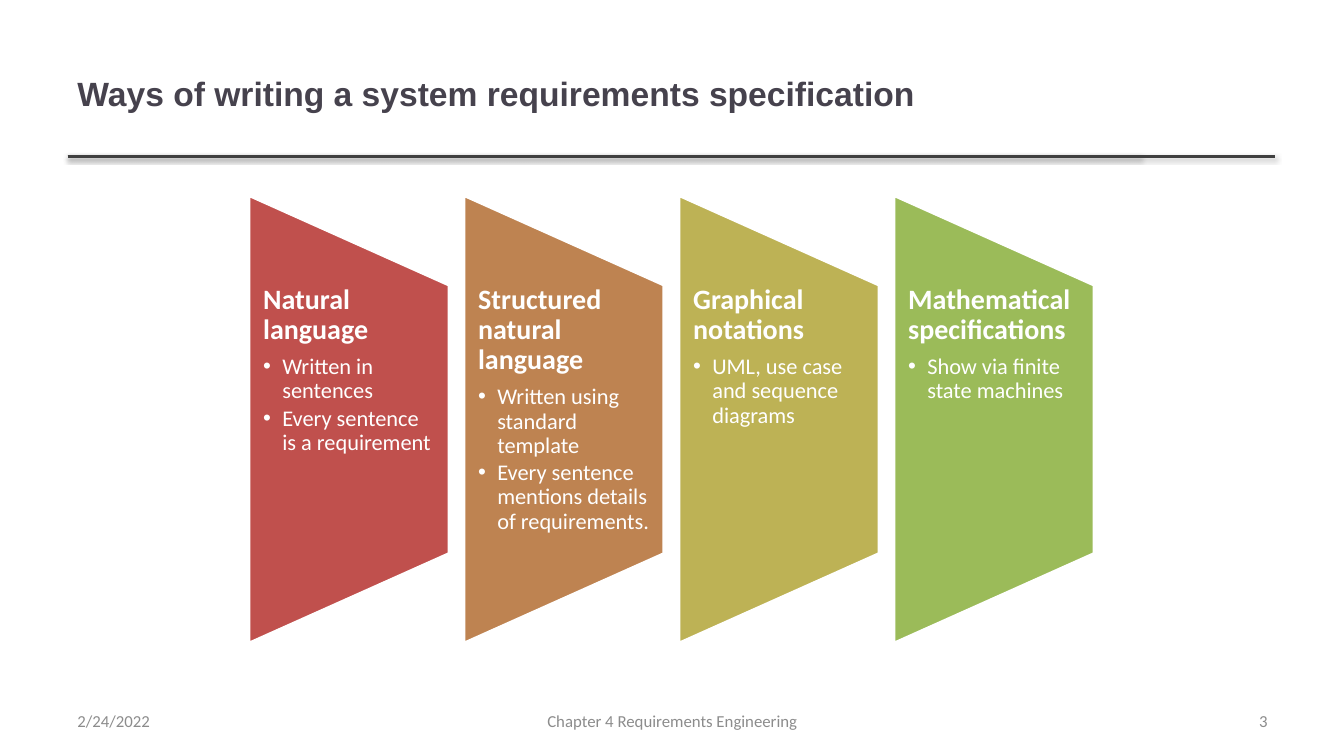
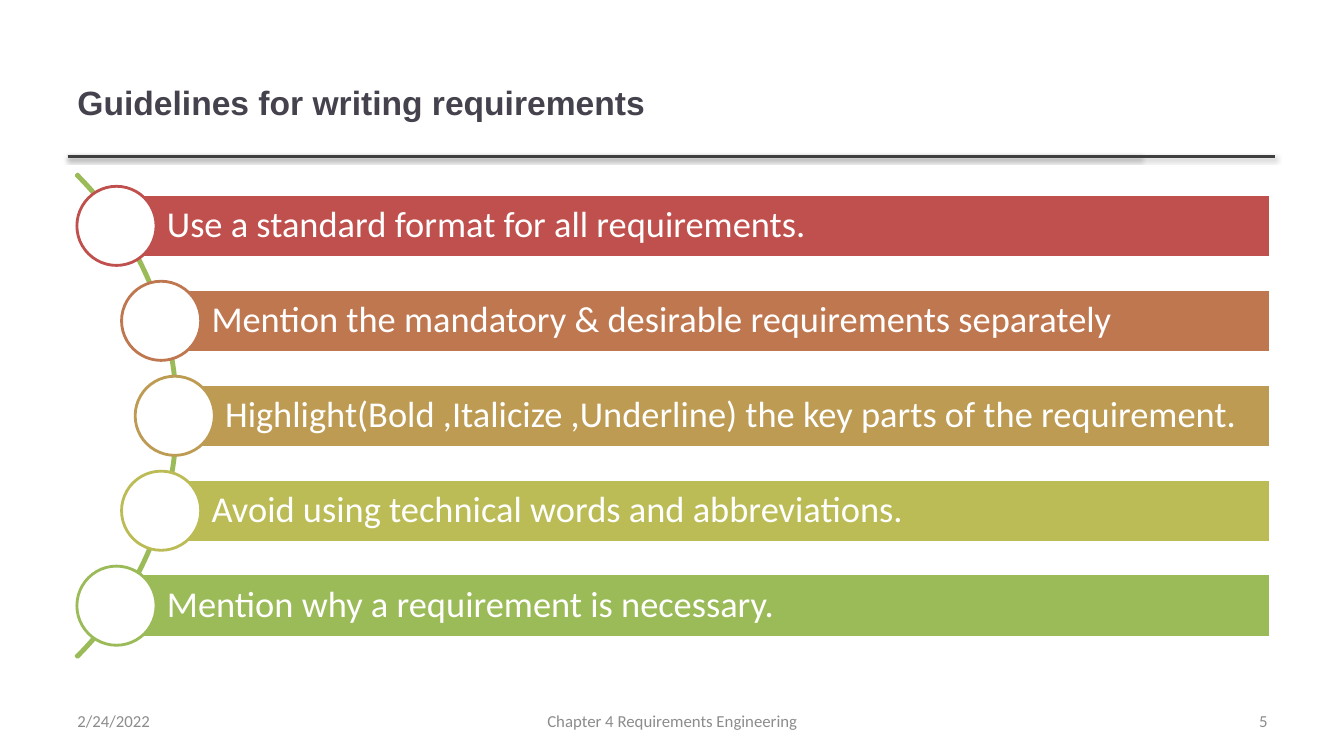
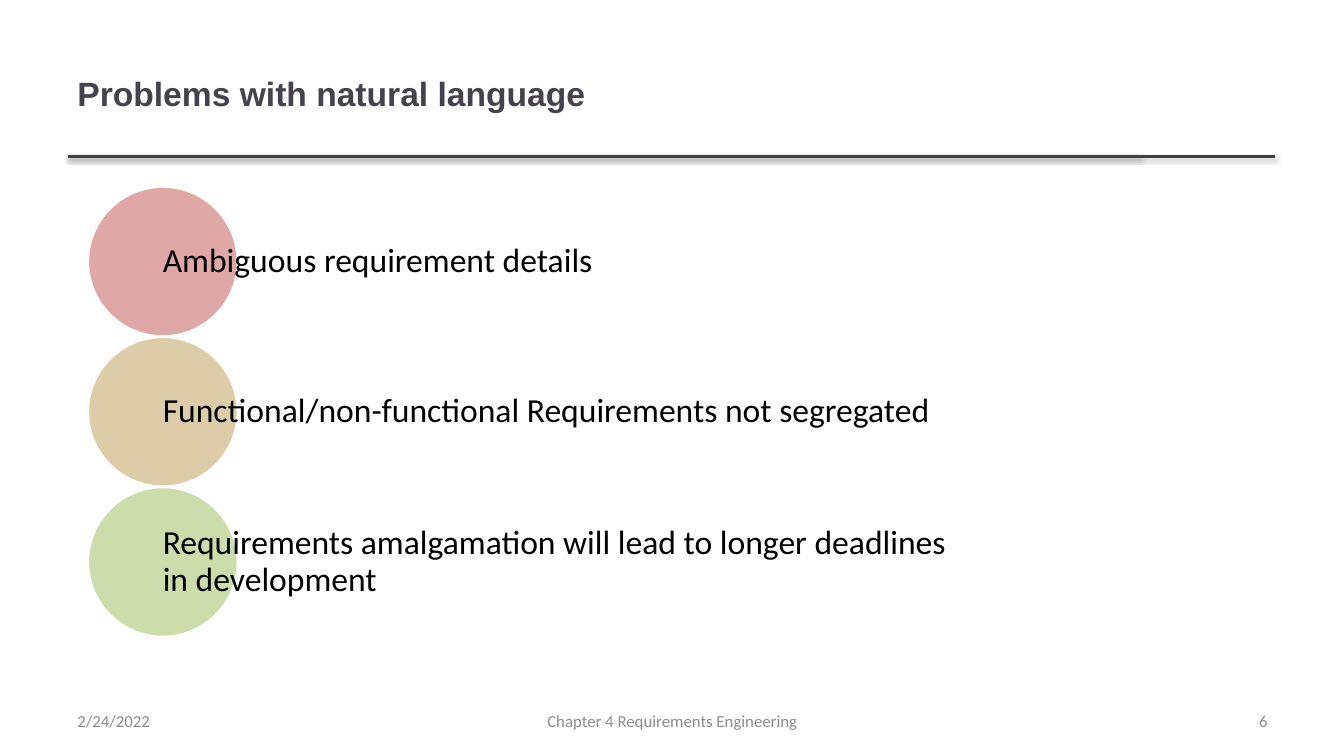
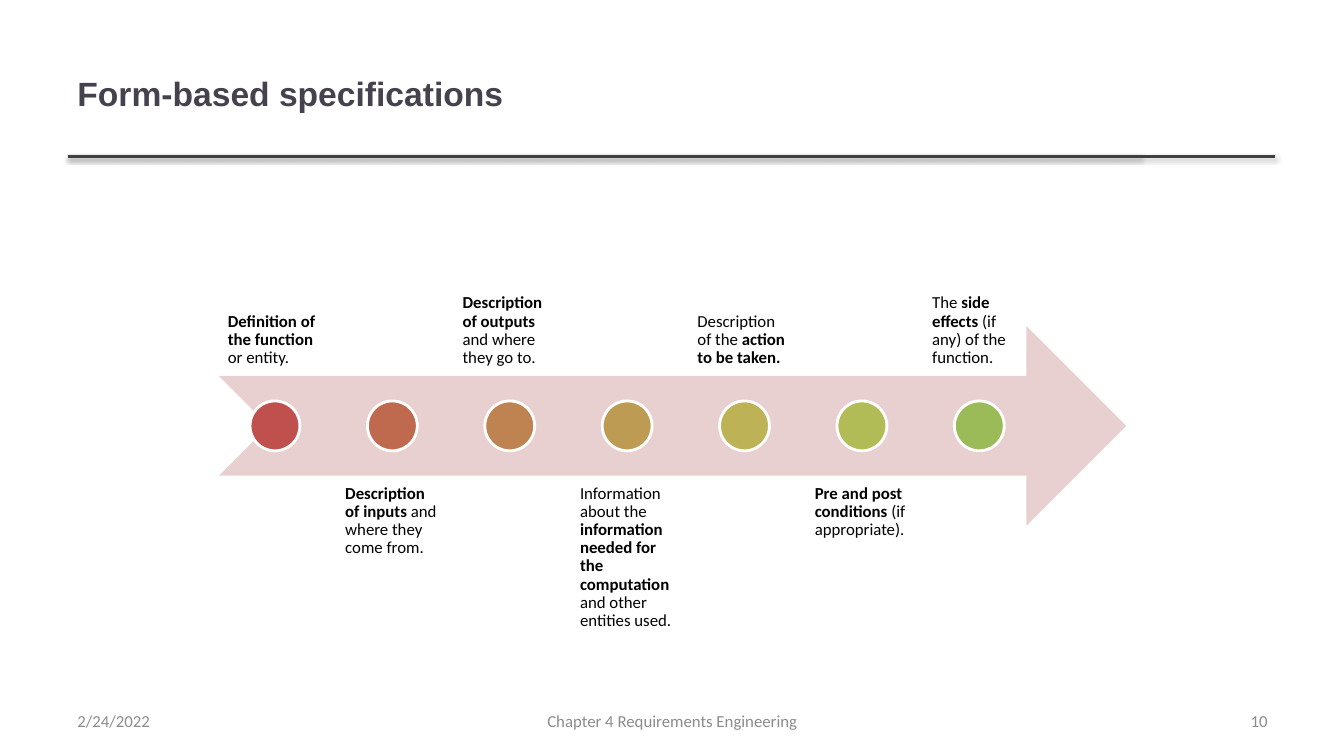
import math
from dataclasses import dataclass

from lxml import etree
from pptx import Presentation
from pptx.dml.color import RGBColor
from pptx.enum.shapes import MSO_CONNECTOR, MSO_SHAPE
from pptx.enum.text import MSO_ANCHOR, PP_ALIGN
from pptx.oxml.ns import qn
from pptx.util import Emu, Inches, Pt

LEFT, CENTER, RIGHT = PP_ALIGN.LEFT, PP_ALIGN.CENTER, PP_ALIGN.RIGHT
TOP, MIDDLE, BOTTOM = MSO_ANCHOR.TOP, MSO_ANCHOR.MIDDLE, MSO_ANCHOR.BOTTOM
RECTANGLE, OVAL, BLOCK_ARC = MSO_SHAPE.RECTANGLE, MSO_SHAPE.OVAL, MSO_SHAPE.BLOCK_ARC
TRAPEZOID = MSO_SHAPE.FLOWCHART_MANUAL_OPERATION
NOTCHED_ARROW = MSO_SHAPE.NOTCHED_RIGHT_ARROW
STRAIGHT = MSO_CONNECTOR.STRAIGHT


@dataclass(frozen=True)
class Theme:
    heading_font: str = "Arial"
    body_font: str = "Calibri"
    white: str = "FFFFFF"
    black: str = "000000"
    heading: str = "46424D"
    rule: str = "404040"
    footer: str = "8C8C8C"
    arrow: str = "E8D0D0"
    ramp3: tuple = ("C0504D", "BD9B53", "9BBB59")
    ramp4: tuple = ("C0504D", "BE8351", "BDB255", "9BBB59")
    ramp5: tuple = ("C0504D", "BF7750", "BD9B53", "BCBC56", "9BBB59")
    ramp7: tuple = ("C0504D", "BF6A4F", "BE8351", "BD9B53", "BDB255", "B1BC57", "9BBB59")
    heading_size: int = 24
    footer_size: int = 12
    panel_head_size: int = 20
    panel_size: int = 16
    bar_size: int = 26
    problem_size: int = 24
    step_size: int = 12
    line_width: int = 2


@dataclass(frozen=True)
class Box:
    """A rectangle in inches."""
    left: float
    top: float
    width: float
    height: float

    @property
    def middle(self):
        return self.left + self.width / 2, self.top + self.height / 2

    def emu(self):
        return [Inches(n) for n in (self.left, self.top, self.width, self.height)]

    def rows(self, count):
        step = self.height / count
        return [Box(self.left, self.top + i * step, self.width, step) for i in range(count)]

    def columns(self, count, gap=0.0):
        width = (self.width - gap * (count - 1)) / count
        return [Box(self.left + i * (width + gap), self.top, width, self.height)
                for i in range(count)]


def centred(x, y, width, height):
    return Box(x - width / 2, y - height / 2, width, height)


THEME = Theme()
SLIDE = Box(0, 0, 13.33, 7.5)
MARGIN = 0.67
TITLE = Box(MARGIN, 0.3, 10.63, 1.25)
RULE_Y = 1.55
RULE_ENDS = (11.32, 12.65)
FOOTER_TOP, FOOTER_HEIGHT = 6.95, 0.4
DEFAULT_INSETS = (0.1, 0.05, 0.1, 0.05)


def add_shape(page, kind, box, fill=None, line=None, alpha=None):
    shape = page.shapes.add_shape(kind, *box.emu())
    shape.shadow.inherit = False
    if fill:
        shape.fill.solid()
        shape.fill.fore_color.rgb = RGBColor.from_string(fill)
        if alpha:
            color = shape.fill._xPr.find(".//" + qn("a:srgbClr"))
            etree.SubElement(color, qn("a:alpha"), val=str(alpha * 1000))
    else:
        shape.fill.background()
    if line:
        shape.line.color.rgb = RGBColor.from_string(line)
        shape.line.width = Pt(THEME.line_width)
    else:
        shape.line.fill.background()
    return shape


def set_frame(shape, insets=DEFAULT_INSETS, anchor=MIDDLE):
    frame = shape.text_frame
    frame.word_wrap = True
    frame.vertical_anchor = anchor
    (frame.margin_left, frame.margin_top,
     frame.margin_right, frame.margin_bottom) = [Inches(n) for n in insets]
    return frame


def add_frame(page, box, insets=DEFAULT_INSETS, anchor=MIDDLE):
    return set_frame(page.shapes.add_textbox(*box.emu()), insets, anchor)


def write(para, spans, size, color, font=THEME.body_font, align=LEFT, spacing=0.9):
    """Fill a paragraph from (text, bold) spans."""
    para.alignment = align
    para.line_spacing = spacing
    for text, bold in spans:
        span = para.add_run()
        span.text = text
        span.font.name = font
        span.font.size = Pt(size)
        span.font.bold = bold
        span.font.color.rgb = RGBColor.from_string(color)


def add_bullet(para, indent):
    properties = para._p.get_or_add_pPr()
    properties.set("marL", str(Inches(indent)))
    properties.set("indent", str(-Inches(indent)))
    etree.SubElement(properties, qn("a:buFont"), typeface=THEME.heading_font)
    etree.SubElement(properties, qn("a:buChar"), char="•")


def add_rule(page, end):
    """Draw the shadowed line under the title."""
    rule = page.shapes.add_connector(
        STRAIGHT, Inches(MARGIN), Inches(RULE_Y), Inches(end), Inches(RULE_Y))
    rule.line.color.rgb = RGBColor.from_string(THEME.rule)
    rule.line.width = Pt(THEME.line_width)
    effects = etree.SubElement(rule._element.spPr, qn("a:effectLst"))
    shadow = etree.SubElement(effects, qn("a:outerShdw"), blurRad=str(Pt(3.1)),
                              dist=str(Pt(1.6)), dir="5400000", rotWithShape="0")
    color = etree.SubElement(shadow, qn("a:srgbClr"), val=THEME.black)
    etree.SubElement(color, qn("a:alpha"), val="38000")


def add_page(deck, title, number, title_box=TITLE):
    """Add a slide with its title, rule and footer."""
    page = deck.slides.add_slide(deck.slide_layouts[6])
    for end in RULE_ENDS:
        add_rule(page, end)
    heading = add_frame(page, title_box)
    write(heading.paragraphs[0], [(title, True)], THEME.heading_size,
          THEME.heading, THEME.heading_font, spacing=1)
    footers = (
        (MARGIN, 3.11, "2/24/2022", LEFT),
        (4.56, 4.22, "Chapter 4 Requirements Engineering", CENTER),
        (9.56, 3.11, str(number), RIGHT),
    )
    for left, width, text, align in footers:
        frame = add_frame(page, Box(left, FOOTER_TOP, width, FOOTER_HEIGHT))
        write(frame.paragraphs[0], [(text, False)], THEME.footer_size,
              THEME.footer, align=align, spacing=1)
    return page


def add_panels(page, box, panels):
    """Place tapering panels side by side, each with a heading and bullets."""
    columns = box.columns(len(panels), gap=0.15)
    for column, color, (head, points) in zip(columns, THEME.ramp4, panels):
        upright = centred(*column.middle, column.height, column.width)
        add_shape(page, TRAPEZOID, upright, color, THEME.white).rotation = 270
        inner = Box(column.left, column.top + column.height / 5,
                    column.width, column.height * 3 / 5)
        frame = add_frame(page, inner, (0.14, 0, 0.14, 0), TOP)
        para = frame.paragraphs[0]
        write(para, [(head, True)], THEME.panel_head_size, THEME.white)
        para.space_after = Pt(THEME.panel_head_size * 0.35)
        for point in points:
            para = frame.add_paragraph()
            para.level = 1
            add_bullet(para, 0.19)
            write(para, [(point, False)], THEME.panel_size, THEME.white)
            para.space_after = Pt(THEME.panel_size * 0.15)


def add_curved_list(page, box, items):
    """Place bars whose round markers follow an arc."""
    rows = box.rows(len(items))
    row_height = rows[0].height
    radius = row_height * 3.6
    marker_radius = radius - 0.03
    arc_x = box.left - radius * math.cos(math.pi / 4)
    arc_y = box.middle[1]
    arc = add_shape(page, BLOCK_ARC, centred(arc_x, arc_y, 2 * radius, 2 * radius),
                    line=THEME.ramp5[-1])
    for index, value in enumerate((189, 27, 0.003)):
        arc.adjustments[index] = value
    for row, color, text in zip(rows, THEME.ramp5, items):
        y = row.middle[1]
        x = arc_x + math.sqrt(marker_radius ** 2 - (y - arc_y) ** 2)
        bar_height = row_height * 2 / 3
        bar_box = Box(x, y - bar_height / 2, box.left + box.width - x, bar_height)
        bar = add_shape(page, RECTANGLE, bar_box, color, THEME.white)
        frame = set_frame(bar, (0.5, 0.07, 0.07, 0.07))
        write(frame.paragraphs[0], [(text, False)], THEME.bar_size, THEME.white)
        size = row_height * 5 / 6
        add_shape(page, OVAL, centred(x, y, size, size), THEME.white, color)


def add_circle_list(page, box, items):
    """Stack touching circles, with text that starts at each centre."""
    for row, color, text in zip(box.rows(len(items)), THEME.ramp3, items):
        size = row.height
        add_shape(page, OVAL, Box(row.left, row.top, size, size), color, THEME.white, alpha=50)
        label = Box(row.left + size / 2, row.top, row.width - size / 2, size)
        frame = add_frame(page, label, (0, 0.03, 0, 0.03))
        write(frame.paragraphs[0], [(text, False)], THEME.problem_size, THEME.black)


def add_timeline(page, box, steps):
    """Place steps along an arrow, by turns above and below it."""
    band = box.height * 2 / 5
    arrow = Box(box.left, box.middle[1] - band / 2, box.width, band)
    add_shape(page, NOTCHED_ARROW, arrow, THEME.arrow)
    steps_area = Box(box.left, box.top, box.width * 0.9, box.height)
    columns = steps_area.columns(len(steps), gap=0.05)
    for index, (column, color, spans) in enumerate(zip(columns, THEME.ramp7, steps)):
        below = index % 2
        top = box.top + below * box.height * 3 / 5
        label = Box(column.left, top, column.width, band)
        frame = add_frame(page, label, (0.09,) * 4, TOP if below else BOTTOM)
        write(frame.paragraphs[0], spans, THEME.step_size, THEME.black)
        add_shape(page, OVAL, centred(*column.middle, band / 4, band / 4), color, THEME.white)


def main():
    deck = Presentation()
    deck.slide_width, deck.slide_height = Emu(Inches(SLIDE.width)), Emu(Inches(SLIDE.height))

    page = add_page(deck, "Ways of writing a system requirements specification", 3)
    add_panels(page, Box(2.47, 1.94, 8.38, 4.44), (
        ("Natural language", ("Written in sentences", "Every sentence is a requirement")),
        ("Structured natural language", ("Written using standard template",
                                         "Every sentence mentions details of requirements.")),
        ("Graphical notations", ("UML, use case and sequence diagrams",)),
        ("Mathematical specifications", ("Show via finite state machines",)),
    ))

    page = add_page(deck, "Guidelines for writing requirements", 5, Box(MARGIN, 0.41, 9, 1.21))
    add_curved_list(page, Box(0.77, 1.77, 11.83, 4.71), (
        "Use a standard format for all requirements.",
        "Mention the mandatory & desirable requirements separately",
        "Highlight(Bold ,Italicize ,Underline) the key parts of the requirement.",
        "Avoid using technical words and abbreviations.",
        "Mention why a requirement is necessary.",
    ))

    page = add_page(deck, "Problems with natural language", 6)
    add_circle_list(page, Box(0.87, 1.85, 8.69, 4.47), (
        "Ambiguous requirement details",
        "Functional/non-functional Requirements not segregated",
        "Requirements amalgamation will lead to longer deadlines in development",
    ))

    page = add_page(deck, "Form-based specifications", 10)
    add_timeline(page, Box(2.17, 1.75, 9, 4.95), (
        (("Definition of the function ", True), ("or entity.", False)),
        (("Description of inputs ", True), ("and where they come from.", False)),
        (("Description of outputs ", True), ("and where they go to.", False)),
        (("Information about the ", False), ("information needed for the computation ", True),
         ("and other entities used.", False)),
        (("Description of the ", False), ("action to be taken.", True)),
        (("Pre and post conditions", True), (" (if appropriate).", False)),
        (("The ", False), ("side effects", True), (" (if any) of the function.", False)),
    ))

    deck.save("out.pptx")


if __name__ == "__main__":
    main()
